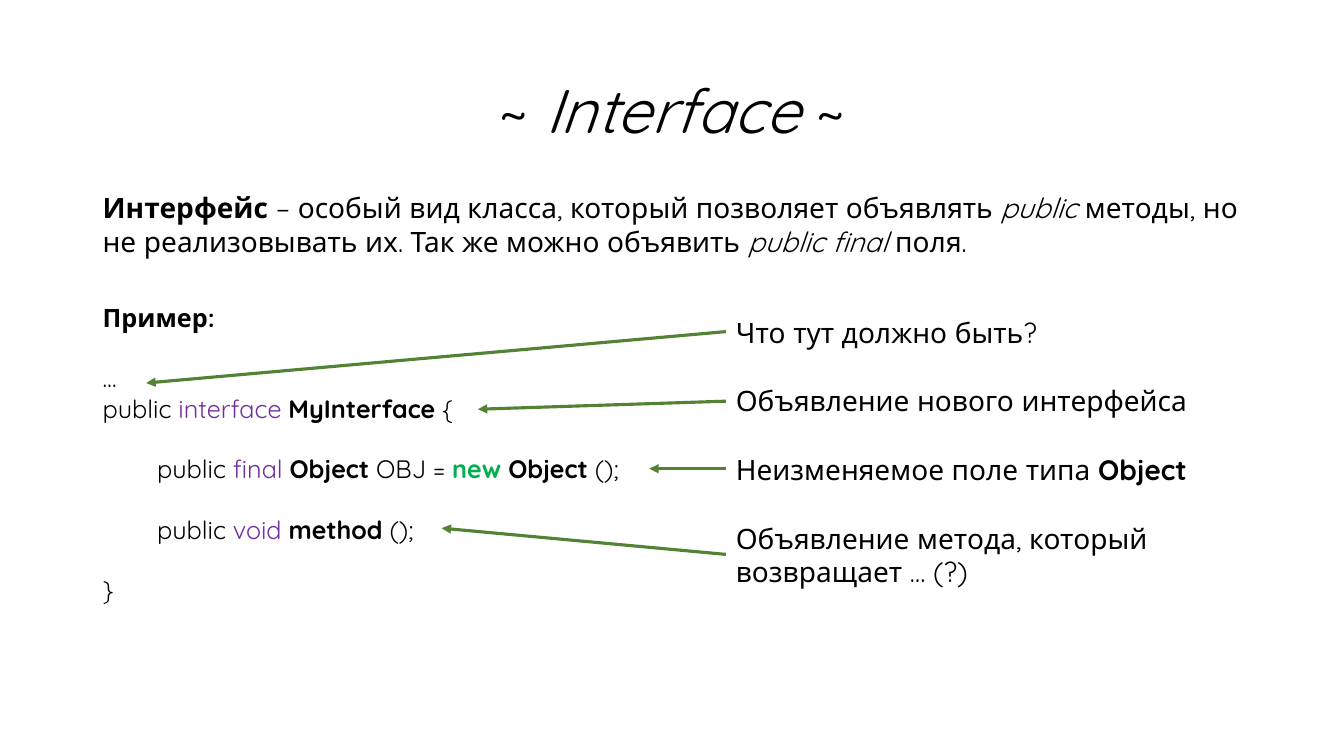
from lxml import etree
from pptx import Presentation
from pptx.dml.color import RGBColor
from pptx.enum.shapes import MSO_CONNECTOR
from pptx.enum.text import MSO_ANCHOR, MSO_AUTO_SIZE, PP_ALIGN
from pptx.oxml.ns import qn
from pptx.util import Pt

PX = 9144
FONT = "Quicksand"
BLACK, PURPLE, GREEN, OLIVE = "000000", "7030A0", "00B050", "548235"
LINE = MSO_CONNECTOR.STRAIGHT
MIDDLE = MSO_ANCHOR.MIDDLE
GROW = MSO_AUTO_SIZE.SHAPE_TO_FIT_TEXT
CENTER = PP_ALIGN.CENTER

STYLES = {
    "": (False, False, BLACK),
    "bold": (True, False, BLACK),
    "italic": (False, True, BLACK),
    "key": (False, False, PURPLE),
    "new": (True, False, GREEN),
}


def color(code):
    return RGBColor.from_string(code)


def add_text(box, size, rows):
    shape = slide.shapes.add_textbox(*[n * PX for n in box])
    frame = shape.text_frame
    frame.word_wrap = True
    frame.auto_size = GROW
    for i, (gap, indent, parts) in enumerate(rows):
        para = frame.paragraphs[0] if i == 0 else frame.add_paragraph()
        para.space_before = Pt(gap)
        para._p.get_or_add_pPr().set("marL", str(indent * PX))
        for words, style in parts:
            run = para.add_run()
            run.text = words
            font = run.font
            font.name = FONT
            font.size = Pt(size)
            font.bold, font.italic, code = STYLES[style]
            font.color.rgb = color(code)
    return frame


prs = Presentation()
prs.slide_width, prs.slide_height = 1333 * PX, 750 * PX
slide = prs.slides.add_slide(prs.slide_layouts[6])

title = add_text((92, 40, 1150, 145), 44, [
    (0, 0, [("~ ", ""), ("Interface", "italic"), (" ~", "")]),
])
title.auto_size = MSO_AUTO_SIZE.NONE
title.vertical_anchor = MIDDLE
title.paragraphs[0].alignment = CENTER
title.paragraphs[0].line_spacing = 0.9

add_text((92, 184, 1150, 77), 20, [(0, 0, [
    ("Интерфейс", "bold"),
    (" – особый вид класса, который позволяет объявлять ", ""),
    ("public ", "italic"),
    ("методы, но не реализовывать их. Так же можно объявить ", ""),
    ("public final ", "italic"),
    ("поля.", ""),
])])

SKIP, TAB = 21.6, 54
add_text((92, 295, 575, 313), 18, [
    (0, 0, [("Пример:", "bold")]),
    (SKIP, 0, [("…", "")]),
    (0, 0, [("public ", ""), ("interface ", "key"),
            ("MyInterface", "bold"), (" {", "")]),
    (SKIP, TAB, [("public ", ""), ("final ", "key"), ("Object", "bold"),
                 (" OBJ = ", ""), ("new ", "new"), ("Object", "bold"),
                 (" ();", "")]),
    (SKIP, TAB, [("public ", ""), ("void ", "key"),
                 ("method", "bold"), (" ();", "")]),
    (SKIP, 0, [("}", "")]),
])

LEFT, TOP, STEP = 720, 308, 68
notes = [
    ([("Что тут должно быть?", "")], 44, 329, (145, 380)),
    ([("Объявление нового интерфейса", "")], 44, 398, (474, 406)),
    ([("Неизменяемое поле типа ", ""), ("Object", "bold")],
     44, 465, (644, 465)),
    ([("Объявление метода, который возвращает … (?)", "")],
     77, 550, (438, 524)),
]
for i, (parts, high, start, end) in enumerate(notes):
    add_text((LEFT, TOP + i * STEP, 522, high), 20, [(0, 0, parts)])
    arrow = slide.shapes.add_connector(
        LINE, *[n * PX for n in (LEFT, start, *end)])
    arrow.line.color.rgb = color(OLIVE)
    arrow.line.width = Pt(2.25)
    tip = etree.SubElement(arrow.get_or_add_ln(), qn("a:tailEnd"))
    tip.set("type", "triangle")
    etree.SubElement(arrow._element.spPr, qn("a:effectLst"))

prs.save("out.pptx")
